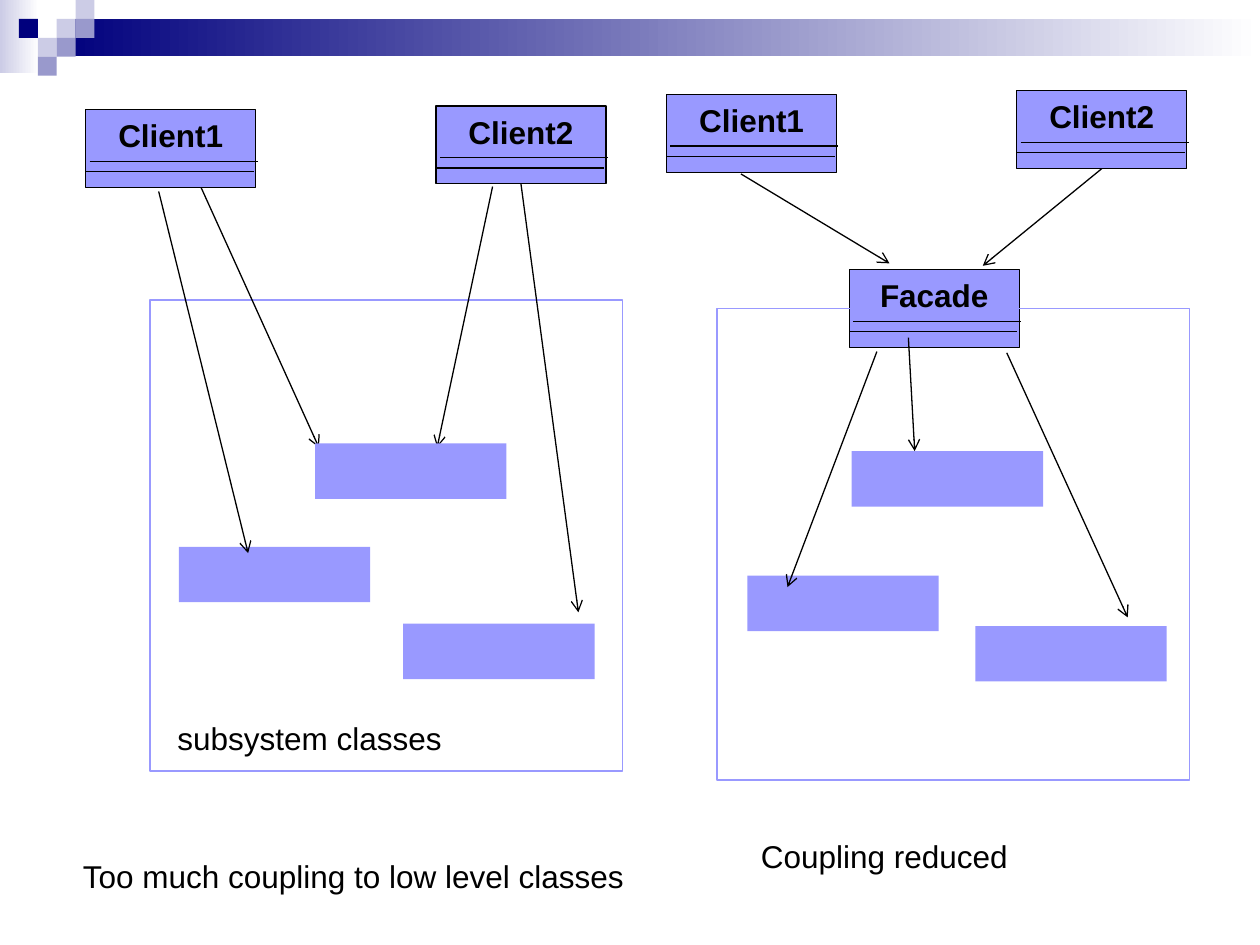
from lxml.etree import SubElement
from pptx import Presentation
from pptx.dml.color import RGBColor
from pptx.enum.shapes import MSO_CONNECTOR, MSO_SHAPE
from pptx.enum.text import MSO_AUTO_SIZE, PP_ALIGN
from pptx.oxml.ns import qn
from pptx.util import Pt

BOTTOM = 2


def color(hex_code):
    return RGBColor.from_string(hex_code)


def write(frame, text, size=18, font="Arial", ink="000000", bold=False, align=PP_ALIGN.LEFT):
    paragraph = frame.paragraphs[0]
    paragraph.alignment = align
    run = paragraph.add_run()
    run.text = text
    run.font.size = Pt(size)
    run.font.name = font
    run.font.bold = bold
    run.font.color.rgb = color(ink)


class Diagram:
    violet, black = "9999FF", "000000"
    line_width = 0.75
    card_size = (97.2, 44.6)
    class_size = (109.4, 31.7)
    frame_size = (270, 269.3)

    def __init__(self, slide):
        self.shapes = slide.shapes

    def rect(self, x, y, width, height, fill=None, line=None):
        box = self.shapes.add_shape(MSO_SHAPE.RECTANGLE, Pt(x), Pt(y), Pt(width), Pt(height))
        box.shadow.inherit = False
        if fill:
            box.fill.solid()
            box.fill.fore_color.rgb = color(fill)
        else:
            box.fill.background()
        if line:
            box.line.color.rgb = color(line)
            box.line.width = Pt(self.line_width)
        else:
            box.line.fill.background()
        return box

    def fade(self, x, y, width, height, start):
        band = self.rect(x, y, width, height)
        band.fill.gradient()
        band.fill.gradient_angle = 0
        for stop, position, shade in zip(band.fill.gradient_stops, (0, 1), (start, "FFFFFF")):
            stop.position = position
            stop.color.rgb = color(shade)

    def label(self, x, y, width, text, **style):
        box = self.shapes.add_textbox(Pt(x), Pt(y), Pt(width), Pt(28.8))
        box.text_frame.word_wrap = False
        box.text_frame.auto_size = MSO_AUTO_SIZE.SHAPE_TO_FIT_TEXT
        write(box.text_frame, text, **style)

    def line(self, start, end):
        link = self.shapes.add_connector(MSO_CONNECTOR.STRAIGHT, *map(Pt, start + end))
        link.line.color.rgb = color(self.black)
        link.line.width = Pt(self.line_width)
        SubElement(link._element.spPr, qn("a:effectLst"))
        return link

    def arrow(self, start, end, source=None):
        link = self.line(start, end)
        SubElement(link.line._get_or_add_ln(), qn("a:tailEnd"), type="arrow")
        if source is not None:
            link.begin_connect(source, BOTTOM)

    def card(self, x, y, name):
        """A class with its name above two dividers."""
        width, height = self.card_size
        box = self.rect(x, y, width, height, self.violet, self.black)
        self.label(x + 6, y + 0.3, width - 12, name, bold=True, align=PP_ALIGN.CENTER)
        for dx, dy in ((0, 35.5), (2.2, 29.5)):
            self.line((x + dx, y + dy), (x + dx + 96, y + dy))
        return box

    def subsystem_class(self, x, y):
        self.rect(x, y, *self.class_size, fill=self.violet)

    def subsystem(self, x, y):
        self.rect(x, y, *self.frame_size, line=self.violet)


def main():
    deck = Presentation()
    deck.slide_width, deck.slide_height = Pt(720), Pt(540)
    diagram = Diagram(deck.slides.add_slide(deck.slide_layouts[6]))

    # Header band and its checkered corner
    diagram.fade(0, 0, 22.3, 41.8, "CCCCE6")
    diagram.fade(32.4, 10.8, 687.6, 21.2, "00007D")
    cell = 10.8
    checkers = {
        "CCCCE6": ((3, 1), (4, 0), (2, 2)),
        "9999CC": ((4, 1), (3, 2), (2, 3)),
        "00007D": ((1, 1),),
    }
    for shade, cells in checkers.items():
        for column, row in cells:
            diagram.rect(column * cell, row * cell, cell, cell, shade)

    # Left: clients call the subsystem classes directly
    diagram.subsystem(85.7, 171.4)
    diagram.label(94.3, 407.5, 165.6, "subsystem classes")
    diagram.card(49, 62.6, "Client1")
    left_client2 = diagram.card(249.1, 60.5, "Client2")
    for corner in ((102.2, 312.5), (230.4, 356.4)):
        diagram.subsystem_class(*corner)
    diagram.arrow((90.7, 109.4), (141.8, 316.1))
    diagram.arrow((115, 107.3), (182.2, 255.6))
    diagram.arrow((281.5, 106.6), (249.8, 255.6))
    diagram.arrow((297.7, 105.1), (330.5, 349.9), source=left_client2)
    diagram.subsystem_class(180, 253.4)
    diagram.label(40.3, 486, 326.9, "Too much coupling to low level classes")

    # Right: clients go through the facade
    diagram.card(485.3, 154.1, "Facade")
    diagram.subsystem(409.7, 176.4)
    diagram.card(380.9, 54, "Client1")
    right_client2 = diagram.card(581, 51.8, "Client2")
    for corner in ((427, 329), (486.7, 257.8), (557.3, 357.8)):
        diagram.subsystem_class(*corner)
    diagram.arrow((423.4, 99.4), (508.3, 150.5))
    diagram.arrow((629.6, 96.4), (561.6, 151.9), source=right_client2)
    diagram.arrow((501.1, 200.9), (450, 335.5))
    diagram.arrow((519.1, 193), (522.7, 257.8))
    diagram.arrow((575.3, 201.6), (644.4, 352.8))
    diagram.label(427.7, 474.5, 157, "Coupling reduced")

    deck.save("out.pptx")


if __name__ == "__main__":
    main()
